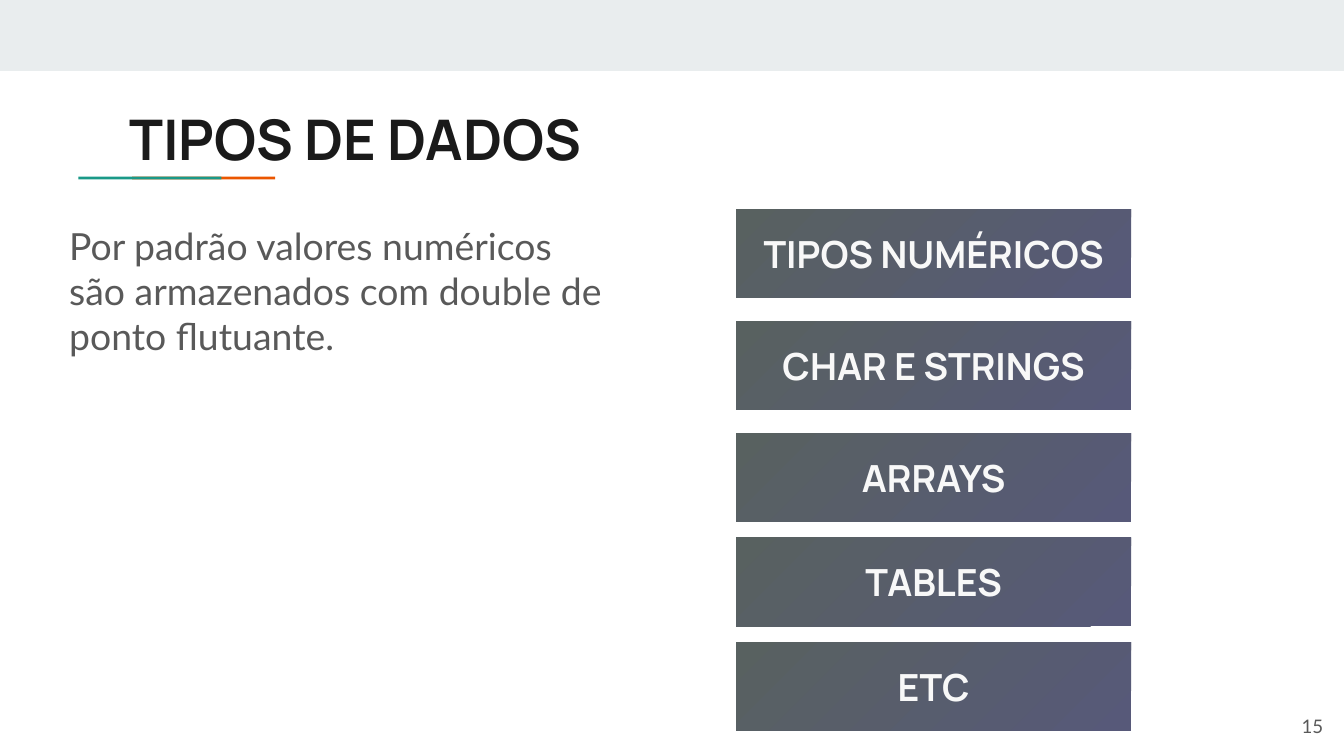
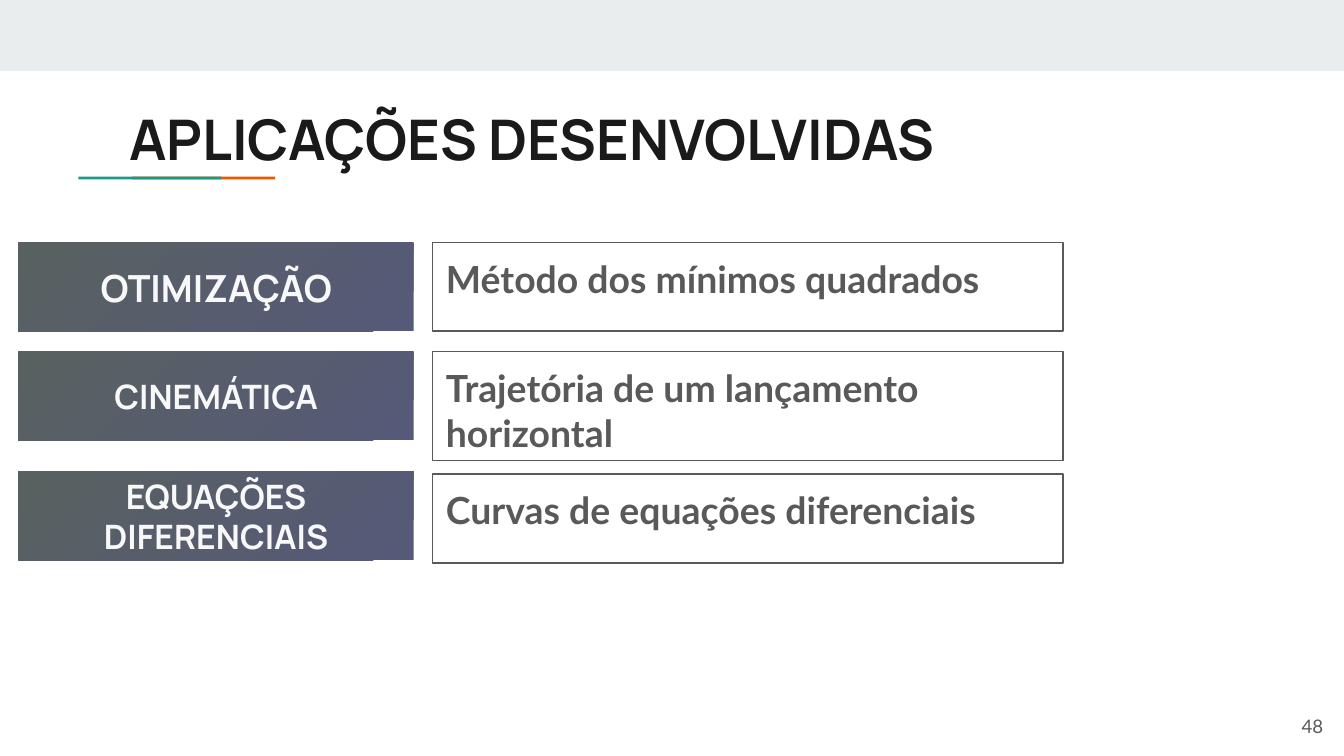
from dataclasses import dataclass

from pptx import Presentation
from pptx.dml.color import RGBColor as Rgb
from pptx.enum.shapes import MSO_SHAPE as Shape
from pptx.enum.text import MSO_ANCHOR as Anchor, MSO_AUTO_SIZE as Fit, PP_ALIGN as Align
from pptx.util import Pt


@dataclass(frozen=True)
class Theme:
    band: str = "E9EDEE"
    teal: str = "1A9988"
    orange: str = "EB5600"
    ink: str = "1A1A1A"
    grey: str = "595959"
    light: str = "F8F8F8"
    ramp: tuple = ("575979", "586160")
    head: str = "Manrope"
    body: str = "Lato"
    big: int = 30
    mid: int = 20
    small: int = 18
    tiny: int = 10
    inset: float = 7.2


class Deck:
    def __init__(self, theme):
        self.theme = theme
        self.deck = Presentation()
        self.deck.slide_width, self.deck.slide_height = Pt(720), Pt(405)
        self.slide = None

    def page(self, title, number):
        look = self.theme
        self.slide = self.deck.slides.add_slide(self.deck.slide_layouts[5])
        self.strip(0, 0, 720, 38, look.band)
        self.strip(70.8, 94.6, 76.6, 1.6, look.orange)
        self.strip(42, 94.6, 76.6, 1.6, look.teal)
        holder = self.slide.shapes.title
        holder.left, holder.top, holder.width, holder.height = map(Pt, (62, 49, 605.5, 42.5))
        self.letter(holder, title, look.head, look.big, look.ink, bold=True)
        self.note(672.5, 373.5, 43.5, 31, number, look.tiny, Align.RIGHT, Anchor.MIDDLE)

    def letter(self, shape, text, face, size, color, bold=False,
               align=Align.LEFT, anchor=Anchor.TOP):
        frame = shape.text_frame
        frame.text = text
        frame.word_wrap = True
        frame.auto_size = Fit.NONE
        frame.vertical_anchor = anchor
        inset = Pt(self.theme.inset)
        frame.margin_left = frame.margin_right = inset
        frame.margin_top = frame.margin_bottom = inset
        for para in frame.paragraphs:
            para.alignment = align
            for run in para.runs:
                font = run.font
                font.name, font.size, font.bold = face, Pt(size), bold
                font.color.rgb = Rgb.from_string(color)

    def rect(self, x, y, wide, high):
        shape = self.slide.shapes.add_shape(Shape.RECTANGLE, *map(Pt, (x, y, wide, high)))
        shape.shadow.inherit = False
        shape.line.fill.background()
        return shape

    def strip(self, x, y, wide, high, color):
        fill = self.rect(x, y, wide, high).fill
        fill.solid()
        fill.fore_color.rgb = Rgb.from_string(color)

    def note(self, x, y, wide, high, text, size, align=Align.LEFT, anchor=Anchor.TOP):
        box = self.slide.shapes.add_textbox(*map(Pt, (x, y, wide, high)))
        look = self.theme
        self.letter(box, text, look.body, size, look.grey, align=align, anchor=anchor)

    def label(self, x, y, text, size):
        look = self.theme
        shape = self.rect(x, y, 211.6, 47.6)
        fill = shape.fill
        fill.gradient()
        fill.gradient_angle = 135
        for stop, color in zip(fill.gradient_stops, look.ramp):
            stop.color.rgb = Rgb.from_string(color)
        self.letter(shape, text, look.head, size, look.light, True, Align.CENTER, Anchor.MIDDLE)

    def frame(self, x, y, high, text):
        look = self.theme
        shape = self.rect(x, y, 337.7, high)
        shape.fill.background()
        shape.line.color.rgb = Rgb.from_string(look.grey)
        shape.line.width = Pt(0.75)
        self.letter(shape, text, look.body, look.mid, look.grey, True)


def kinds(deck):
    deck.page("TIPOS DE DADOS", "15")
    deck.note(30, 112.4, 303, 85.6,
              "Por padrão valores numéricos são armazenados com double de ponto flutuante.",
              deck.theme.mid)
    rows = [(112, "TIPOS NUMÉRICOS"), (172, "CHAR E STRINGS"), (232, "ARRAYS"),
            (288, "TABLES"), (344, "ETC")]
    for y, text in rows:
        deck.label(394.4, y, text, deck.theme.mid)


def uses(deck):
    look = deck.theme
    deck.page("APLICAÇÕES DESENVOLVIDAS", "48")
    rows = [
        (130, "OTIMIZAÇÃO", look.mid, 129.8, 47.6, "Método dos mínimos quadrados"),
        (188.4, "CINEMÁTICA", look.small, 188.4, 58.4, "Trajetória de um lançamento horizontal"),
        (252.6, "EQUAÇÕES DIFERENCIAIS", look.small, 254, 47.6, "Curvas de equações diferenciais"),
    ]
    for y, name, size, top, high, text in rows:
        deck.label(10, y, name, size)
        deck.frame(231.8, top, high, text)


def main():
    show = Deck(Theme())
    kinds(show)
    uses(show)
    show.deck.save("out.pptx")


if __name__ == "__main__":
    main()
